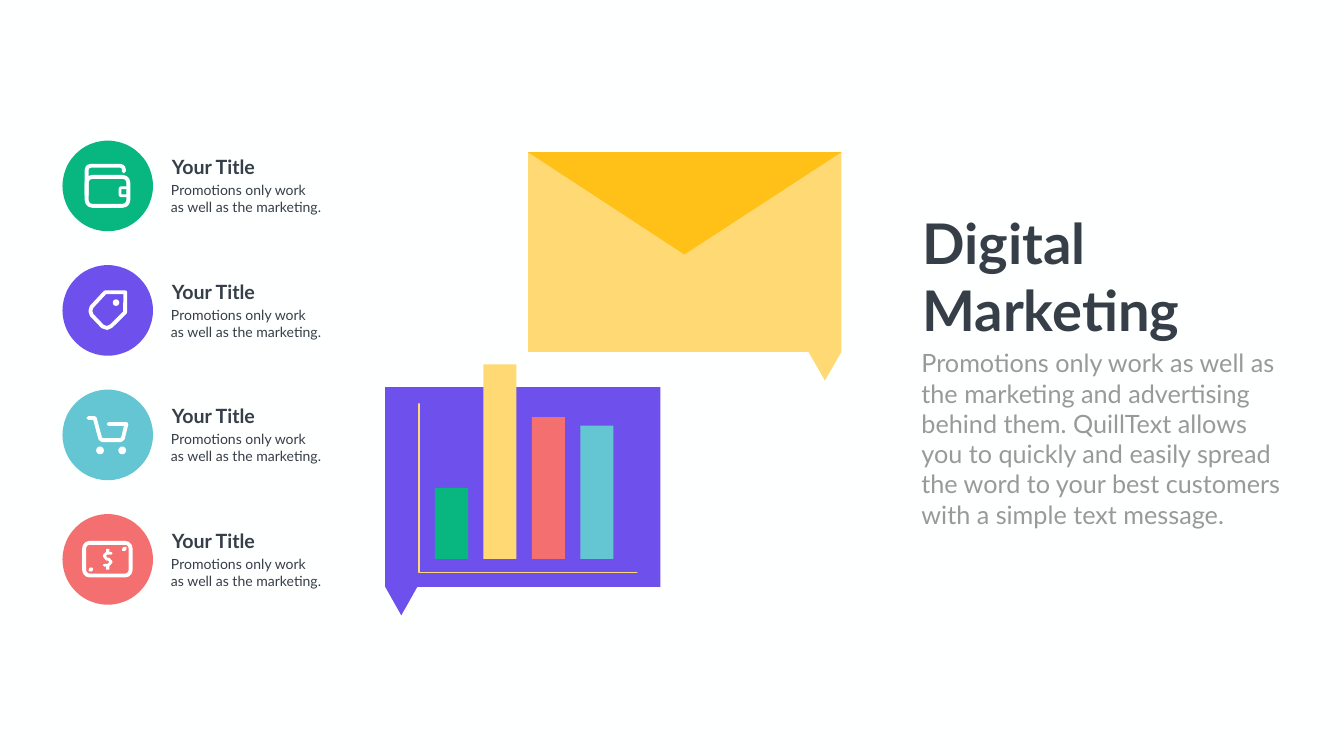
from dataclasses import dataclass
from pptx import Presentation
from pptx.dml.color import RGBColor
from pptx.enum.shapes import MSO_SHAPE
from pptx.enum.text import MSO_AUTO_SIZE
from pptx.util import Inches, Pt


@dataclass(frozen=True)
class Theme:
    paper: str = "FEFFFF"
    ink: str = "363E48"
    gray: str = "999999"
    green: str = "08B680"
    violet: str = "6E51EC"
    teal: str = "65C6D3"
    coral: str = "F46F6F"
    cream: str = "FFD973"
    gold: str = "FFC017"
    font: str = "Lato"
    head: int = 80
    body: int = 36
    label: int = 28
    note: int = 20
    thick: float = 5.5
    thin: float = 4
    hair: float = 1.7


@dataclass(frozen=True)
class Box:
    x: float
    y: float
    w: float
    h: float

    def spot(self, px, py):
        return int(self.x + self.w * px / 100), int(self.y + self.h * py / 100)

    def area(self, px, py, pw, ph):
        return Box(*self.spot(px, py), int(self.w * pw / 100), int(self.h * ph / 100))

    def rows(self, count):
        return [self.area(0, 100 * i / count, 100, 100 / count) for i in range(count)]


T = Theme()


def paint(shape, fill=None, line=None, width=1):
    shape.shadow.inherit = False
    if fill:
        shape.fill.solid()
        shape.fill.fore_color.rgb = RGBColor.from_string(fill)
    else:
        shape.fill.background()
    if line:
        shape.line.color.rgb = RGBColor.from_string(line)
        shape.line.width = Pt(width)
    else:
        shape.line.fill.background()


def preset(page, kind, box, fill=None, line=None, width=1, curve=None):
    shape = page.shapes.add_shape(kind, box.x, box.y, box.w, box.h)
    if curve is not None:
        shape.adjustments[0] = curve
    paint(shape, fill, line, width)


def trace(page, box, dots, fill=None, line=None, width=1, close=False):
    first, *rest = [box.spot(*dot) for dot in dots]
    pen = page.shapes.build_freeform(*first, scale=1.0)
    pen.add_line_segments(rest, close=close)
    shape = pen.convert_to_shape()
    paint(shape, fill, line, width)
    if line:
        shape.element.spPr.ln.set("cap", "rnd")


def write(page, box, lines, size, color, bold=False):
    frame = page.shapes.add_textbox(box.x, box.y, box.w, box.h).text_frame
    frame.word_wrap = True
    frame.auto_size = MSO_AUTO_SIZE.SHAPE_TO_FIT_TEXT
    frame.text = "\n".join(lines)
    for para in frame.paragraphs:
        for run in para.runs:
            run.font.name = T.font
            run.font.size = Pt(size)
            run.font.bold = bold
            run.font.color.rgb = RGBColor.from_string(color)


def stroke(page, box, dots, width=T.thick, close=False):
    trace(page, box, dots, line=T.paper, width=width, close=close)


def frame(page, box, curve, width=T.thick):
    preset(page, MSO_SHAPE.ROUNDED_RECTANGLE, box, line=T.paper, width=width, curve=curve)


def wallet(page, box):
    frame(page, box.area(26.7, 40, 46.1, 32), 0.2)
    stroke(page, box, [(26.7, 60), (26.7, 32), (28, 29), (31, 27.8), (64, 27.8),
                       (67, 29), (67.8, 31.7), (67.8, 34)])
    frame(page, box.area(63.6, 52, 9.2, 8.9), 0.15, T.thin)


def tag(page, box):
    stroke(page, box, [(47.2, 30), (69.4, 30), (69.2, 52.2), (53.9, 67.2), (49.4, 69.4),
                       (44.4, 67.8), (32.2, 55), (30.8, 50.6), (32.2, 46.1)], close=True)
    preset(page, MSO_SHAPE.OVAL, box.area(55.6, 37.8, 7.2, 7.2), T.paper)


def cart(page, box):
    stroke(page, box, [(28.6, 31.4), (35.6, 31.4), (41.7, 53.9), (43.9, 55.8),
                       (64.4, 55.8), (66.7, 53.9), (70.6, 38), (50.8, 38)])
    for left in (37.2, 61.7):
        preset(page, MSO_SHAPE.OVAL, box.area(left, 62.8, 8.6, 8.6), T.paper)


def cash(page, box):
    frame(page, box.area(23.9, 31.7, 51.4, 36.1), 0.17)
    stroke(page, box, [(53.9, 43.1), (48.9, 43.1), (46, 46.1), (48.9, 49.7),
                       (51.1, 49.7), (53.9, 52.8), (50.6, 56.4), (46.1, 56.4)], T.thin)
    for top in (38.3, 56.5):
        preset(page, MSO_SHAPE.RECTANGLE, box.area(48.3, top, 3.4, 4.7), T.paper)
    for dots in ([(67.5, 39.2), (69.2, 37.8)], [(30.6, 61.7), (32.2, 60.6)]):
        stroke(page, box, dots)


def points(page, box):
    items = [(T.green, wallet), (T.violet, tag), (T.teal, cart), (T.coral, cash)]
    for row, (color, icon) in zip(box.rows(len(items)), items):
        disc = row.area(0, 0, 33.3, 72.8)
        preset(page, MSO_SHAPE.OVAL, disc, color)
        icon(page, disc)
        write(page, row.area(38.4, 9.7, 40, 23), ["Your Title"], T.label, T.ink, True)
        write(page, row.area(38.1, 31.1, 61.8, 31.2),
              ["Promotions only work", "as well as the marketing."], T.note, T.ink)


def bubble(page, box, color, left, right):
    base = 87.5
    trace(page, box, [(0, 0), (100, 0), (100, base), (right, base),
                      ((left + right) / 2, 100), (left, base), (0, base)], color, close=True)


def mail(page, box):
    bubble(page, box, T.cream, 89.5, 100)
    trace(page, box, [(0, 0), (100, 0), (49.9, 44.8)], T.gold, close=True)


def graph(page, box):
    bubble(page, box, T.violet, 0, 11.7)
    base = 75.3
    bars = [(T.green, 31.1), (T.cream, 85.2), (T.coral, 62.1), (T.teal, 58.4)]
    for i, (color, tall) in enumerate(bars):
        spot = box.area(18.1 + 17.6 * i, base - tall, 12, tall)
        preset(page, MSO_SHAPE.RECTANGLE, spot, color)
    trace(page, box, [(12.3, 7.3), (12.3, 81.2), (91.4, 81.2)], line=T.cream, width=T.hair)


def intro(page, box):
    write(page, box.area(0.27, 0, 73.8, 42.9), ["Digital", "Marketing"], T.head, T.ink, True)
    text = ("Promotions only work as well as the marketing and advertising behind them. "
            "QuillText allows you to quickly and easily spread the word to your best "
            "customers with a simple text message.")
    write(page, box.area(0, 42.46, 100, 57.54), [text], T.body, T.gray)


def main():
    deck = Presentation()
    deck.slide_width, deck.slide_height = Inches(26.66), Inches(15)
    page = deck.slides.add_slide(deck.slide_layouts[6])
    page.background.fill.solid()
    page.background.fill.fore_color.rgb = RGBColor.from_string(T.paper)
    full = Box(0, 0, deck.slide_width, deck.slide_height)
    mail(page, full.area(39.29, 20.13, 23.31, 30.2))
    graph(page, full.area(28.66, 51.2, 20.48, 30.2))
    points(page, full.area(4.65, 18.6, 20.22, 65.87))
    intro(page, full.area(68.19, 27.27, 27.61, 43.33))
    deck.save("out.pptx")


if __name__ == "__main__":
    main()
